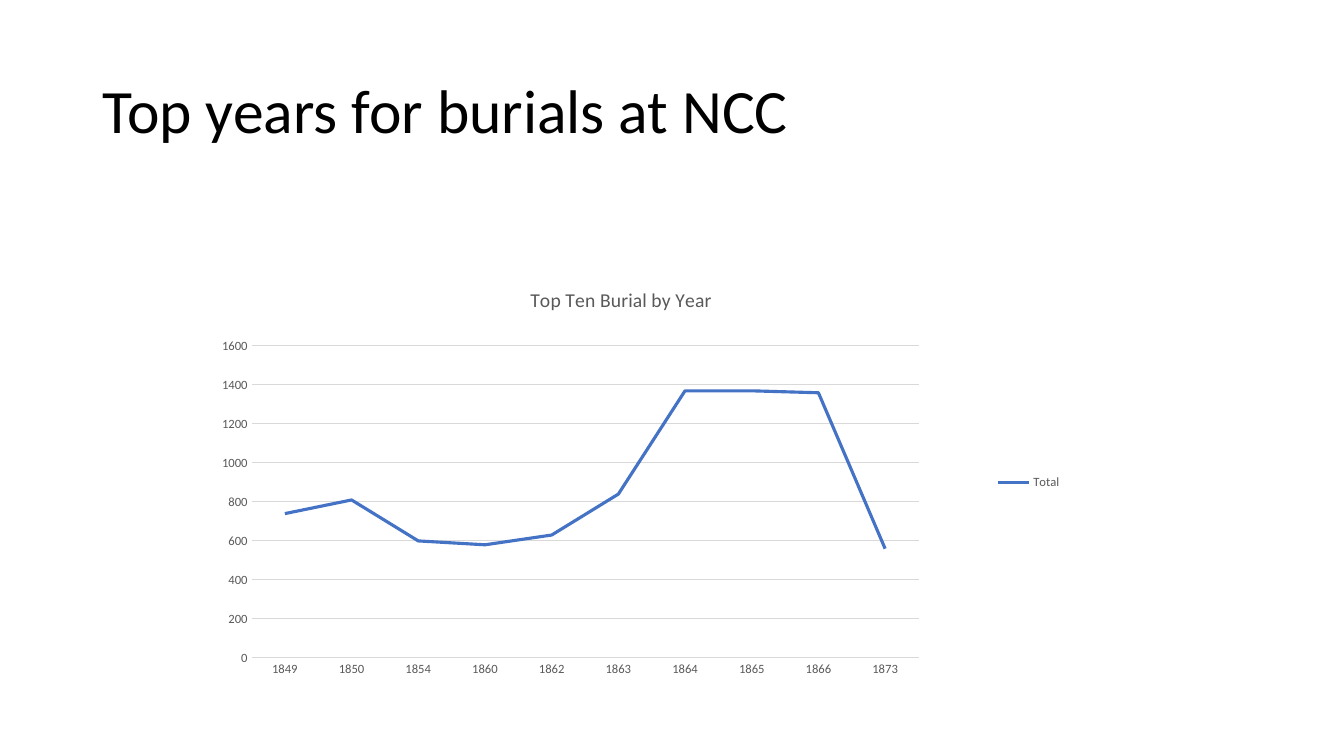
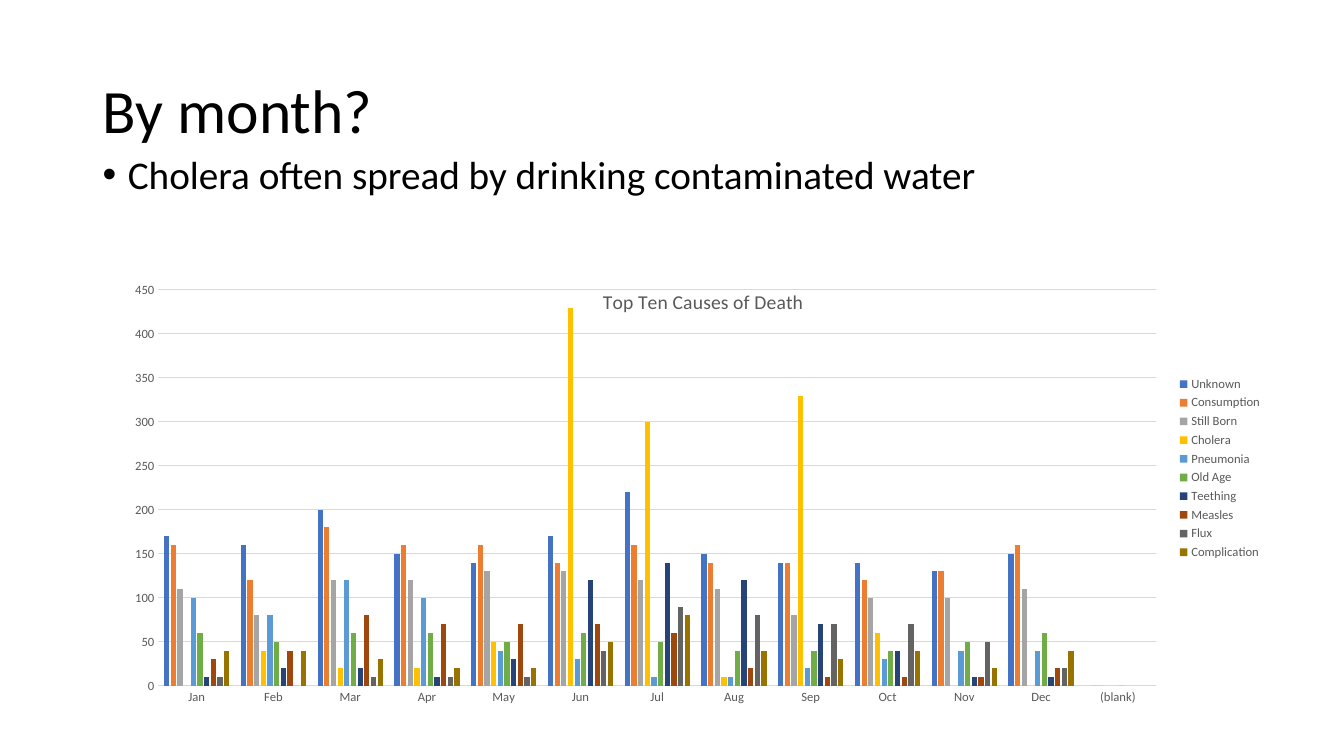
from lxml import etree
from pptx import Presentation
from pptx.chart.data import CategoryChartData
from pptx.dml.color import RGBColor
from pptx.enum.chart import XL_CHART_TYPE, XL_LEGEND_POSITION, XL_TICK_MARK
from pptx.enum.text import MSO_ANCHOR
from pptx.oxml.ns import qn
from pptx.util import Inches, Pt

LINE = XL_CHART_TYPE.LINE
COLUMN = XL_CHART_TYPE.COLUMN_CLUSTERED
LEGEND_RIGHT = XL_LEGEND_POSITION.RIGHT
NO_TICK = XL_TICK_MARK.NONE
TOP = MSO_ANCHOR.TOP
MIDDLE = MSO_ANCHOR.MIDDLE

BLACK = RGBColor(0x00, 0x00, 0x00)
GRAY = RGBColor(0x59, 0x59, 0x59)
GRID = RGBColor(0xD9, 0xD9, 0xD9)
SERIES_COLORS = [
    RGBColor(0x44, 0x72, 0xC4),
    RGBColor(0xED, 0x7D, 0x31),
    RGBColor(0xA5, 0xA5, 0xA5),
    RGBColor(0xFF, 0xC0, 0x00),
    RGBColor(0x5B, 0x9B, 0xD5),
    RGBColor(0x70, 0xAD, 0x47),
    RGBColor(0x26, 0x44, 0x78),
    RGBColor(0x9E, 0x48, 0x0E),
    RGBColor(0x63, 0x63, 0x63),
    RGBColor(0x99, 0x73, 0x00),
]
FONT = "Calibri"

YEARS = ["1849", "1850", "1854", "1860", "1862", "1863", "1864", "1865", "1866", "1873"]
BURIALS = {"Total": [740, 810, 600, 580, 630, 840, 1370, 1370, 1360, 560]}
MONTHS = ["Jan", "Feb", "Mar", "Apr", "May", "Jun", "Jul", "Aug", "Sep", "Oct",
          "Nov", "Dec", "(blank)"]
CAUSES = {
    "Unknown": [170, 160, 200, 150, 140, 170, 220, 150, 140, 140, 130, 150, None],
    "Consumption": [160, 120, 180, 160, 160, 140, 160, 140, 140, 120, 130, 160, 0],
    "Still Born": [110, 80, 120, 120, 130, 130, 120, 110, 80, 100, 100, 110, 0],
    "Cholera": [0, 40, 20, 20, 50, 430, 300, 10, 330, 60, None, None, None],
    "Pneumonia": [100, 80, 120, 100, 40, 30, 10, 10, 20, 30, 40, 40, None],
    "Old Age": [60, 50, 60, 60, 50, 60, 50, 40, 40, 40, 50, 60, 0],
    "Teething": [10, 20, 20, 10, 30, 120, 140, 120, 70, 40, 10, 10, None],
    "Measles": [30, 40, 80, 70, 70, 70, 60, 20, 10, 10, 10, 20, None],
    "Flux": [10, 0, 10, 10, 10, 40, 90, 80, 70, 70, 50, 20, None],
    "Complication": [40, 40, 30, 20, 20, 50, 80, 40, 30, 40, 20, 40, None],
}


def set_font(font, size, color):
    font.name = FONT
    font.size = Pt(size)
    font.bold = False
    font.color.rgb = color


def set_layout(parent, index, settings):
    for old_layout in parent.findall(qn("c:layout")):
        parent.remove(old_layout)
    layout = etree.Element(qn("c:layout"))
    manual = etree.SubElement(layout, qn("c:manualLayout"))
    for name, value in settings.items():
        etree.SubElement(manual, qn(f"c:{name}")).set("val", str(value))
    parent.insert(index, layout)


class Deck:
    def __init__(self):
        self.presentation = Presentation()
        self.presentation.slide_width = Inches(13.33)
        self.presentation.slide_height = Inches(7.5)
        self.slide = None

    def add_slide(self, title):
        self.slide = self.presentation.slides.add_slide(self.presentation.slide_layouts[6])
        self.add_text(title, 0.4, 1.45, 44, MIDDLE)

    def add_text(self, text, top, height, size, anchor, bullet=False):
        shape = self.slide.shapes.add_textbox(
            Inches(0.92), Inches(top), Inches(11.5), Inches(height))
        frame = shape.text_frame
        frame.word_wrap = True
        frame.vertical_anchor = anchor
        paragraph = frame.paragraphs[0]
        paragraph.line_spacing = 0.9
        if bullet:
            properties = paragraph._p.get_or_add_pPr()
            properties.set("marL", str(Inches(0.25)))
            properties.set("indent", str(Inches(-0.25)))
            etree.SubElement(properties, qn("a:buFont")).set("typeface", "Arial")
            etree.SubElement(properties, qn("a:buChar")).set("char", "•")
        run = paragraph.add_run()
        run.text = text
        set_font(run.font, size, BLACK)

    def add_chart(self, kind, box, title, categories, values, top_value, step,
                  plot_box, title_at=None):
        data = CategoryChartData()
        data.categories = categories
        for name, numbers in values.items():
            data.add_series(name, numbers)
        chart = self.slide.shapes.add_chart(kind, *map(Inches, box), data).chart
        set_font(chart.font, 10, BLACK)
        self.style_title(chart, title, title_at)
        self.style_axes(chart, top_value, step)
        chart.has_legend = True
        chart.legend.position = LEGEND_RIGHT
        chart.legend.include_in_layout = False
        set_font(chart.legend.font, 9, GRAY)
        plot = chart.plots[0]
        plot.vary_by_categories = False
        if kind == COLUMN:
            plot.gap_width = 219
            plot.overlap = -27
        for series, color in zip(plot.series, SERIES_COLORS):
            if kind == LINE:
                series.smooth = False
                series.format.line.color.rgb = color
                series.format.line.width = Pt(2.25)
            else:
                series.invert_if_negative = False
                series.format.fill.solid()
                series.format.fill.fore_color.rgb = color
        settings = {"layoutTarget": "inner", "xMode": "edge", "yMode": "edge"}
        settings.update(zip("xywh", plot_box))
        set_layout(chart.element.find(".//" + qn("c:plotArea")), 0, settings)

    def style_title(self, chart, title, title_at):
        chart.has_title = True
        run = chart.chart_title.text_frame.paragraphs[0].add_run()
        run.text = title
        set_font(run.font, 14, GRAY)
        if title_at:
            settings = {"xMode": "edge", "yMode": "edge"}
            settings.update(zip("xy", title_at))
            set_layout(chart.element.find(".//" + qn("c:title")), 1, settings)

    def style_axes(self, chart, top_value, step):
        for axis in (chart.category_axis, chart.value_axis):
            axis.major_tick_mark = NO_TICK
            axis.minor_tick_mark = NO_TICK
            set_font(axis.tick_labels.font, 9, GRAY)
        value_axis = chart.value_axis
        value_axis.minimum_scale = 0
        value_axis.maximum_scale = top_value
        value_axis.major_unit = step
        value_axis.has_major_gridlines = True
        value_axis.format.line.fill.background()
        for line in (chart.category_axis.format.line, value_axis.major_gridlines.format.line):
            line.color.rgb = GRID
            line.width = Pt(0.75)

    def save(self):
        self.presentation.save("out.pptx")


def main():
    deck = Deck()
    deck.add_slide("Top years for burials at NCC")
    deck.add_chart(LINE, (1.69, 2.67, 8.94, 4.24), "Top Ten Burial by Year",
                   YEARS, BURIALS, 1600, 200, (0.09, 0.18, 0.74, 0.73))
    deck.add_slide("By month?")
    deck.add_text("Cholera often spread by drinking contaminated water",
                  1.49, 4.76, 28, TOP, bullet=True)
    deck.add_chart(COLUMN, (1.11, 2.19, 11.51, 4.91), "Top Ten Causes of Death",
                   MONTHS, CAUSES, 450, 50, (0.04, 0.14, 0.86, 0.8), (0.42, 0.13))
    deck.save()


if __name__ == "__main__":
    main()
